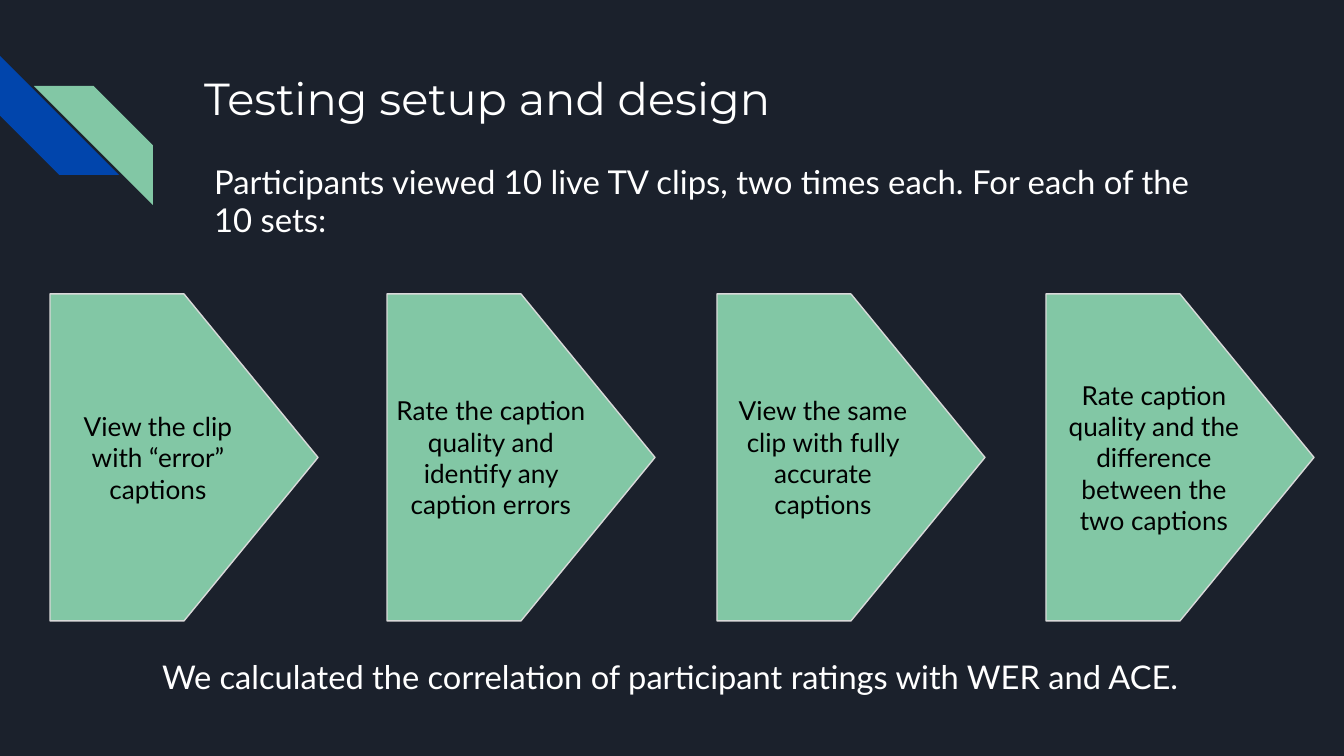
from dataclasses import dataclass

from lxml import etree
from pptx import Presentation
from pptx.dml.color import RGBColor
from pptx.enum.shapes import MSO_SHAPE
from pptx.enum.text import MSO_ANCHOR, MSO_AUTO_SIZE, PP_ALIGN
from pptx.oxml.ns import qn
from pptx.util import Emu, Pt

PLATE = MSO_SHAPE.PENTAGON
STRIPE = MSO_SHAPE.DIAGONAL_STRIPE
TOP = MSO_ANCHOR.TOP
MIDDLE = MSO_ANCHOR.MIDDLE
FIXED = MSO_AUTO_SIZE.NONE
GROW = MSO_AUTO_SIZE.SHAPE_TO_FIT_TEXT
LEFT = PP_ALIGN.LEFT
CENTER = PP_ALIGN.CENTER

NAVY = RGBColor(0x1B, 0x21, 0x2C)
BLUE = RGBColor(0x01, 0x45, 0xAC)
GREEN = RGBColor(0x82, 0xC7, 0xA5)
GREY = RGBColor(0xD9, 0xD9, 0xD9)
WHITE = RGBColor(0xFF, 0xFF, 0xFF)
BLACK = RGBColor(0x00, 0x00, 0x00)

SCALE = 9144000 / 1344
WIDE, HIGH = 1344, 756
INSET = 13
STEP_TOP, STEP_WIDE, STEP_HIGH = 294, 268, 327
TEXT_WIDE = 216


@dataclass(frozen=True)
class Box:
    left: int
    top: int
    width: int
    height: int


@dataclass(frozen=True)
class Style:
    font: str
    size: float
    color: RGBColor
    align: PP_ALIGN = LEFT
    anchor: MSO_ANCHOR = TOP
    fit: MSO_AUTO_SIZE = FIXED


@dataclass(frozen=True)
class Step:
    left: int
    text_left: int
    text_high: int
    text: str


@dataclass(frozen=True)
class Stripe:
    box: Box
    color: RGBColor
    turn: int
    flip: bool


STEPS = (
    Step(50, 50, 207, "View the clip with “error” captions"),
    Step(387, 383, 207, "Rate the caption quality and identify any caption errors"),
    Step(717, 715, 207, "View the same clip with fully accurate captions"),
    Step(1046, 1046, 247, "Rate caption quality and the difference between the two captions"),
)
STRIPES = (
    Stripe(Box(0, 56, 119, 119), BLUE, 270, False),
    Stripe(Box(34, 86, 119, 119), GREEN, 0, True),
)

HEAD = Style("Montserrat", 24, WHITE)
INTRO = Style("Lato", 17.6, WHITE)
LABEL = Style("Lato", 14, BLACK, CENTER, MIDDLE)
CLOSE = Style("Lato", 17.5, WHITE, fit=GROW)


def px(size: int) -> Emu:
    return Emu(round(size * SCALE))


def place(box: Box) -> tuple[Emu, Emu, Emu, Emu]:
    return px(box.left), px(box.top), px(box.width), px(box.height)


def write(shape, text: str, style: Style):
    frame = shape.text_frame
    frame.word_wrap = True
    frame.auto_size = style.fit
    frame.vertical_anchor = style.anchor
    frame.margin_left = frame.margin_right = px(INSET)
    frame.margin_top = frame.margin_bottom = px(INSET)
    para = frame.paragraphs[0]
    para.alignment = style.align
    run = para.add_run()
    run.text = text
    run.font.name = style.font
    run.font.size = Pt(style.size)
    run.font.color.rgb = style.color
    return para


def fill_holder(holder, box: Box, text: str, style: Style):
    holder.left, holder.top, holder.width, holder.height = place(box)
    return write(holder, text, style)


def add_text(slide, box: Box, text: str, style: Style) -> None:
    write(slide.shapes.add_textbox(*place(box)), text, style)


def add_solid(slide, kind: MSO_SHAPE, box: Box, color: RGBColor):
    shape = slide.shapes.add_shape(kind, *place(box))
    shape.shadow.inherit = False
    shape.adjustments[0] = 0.5
    shape.fill.solid()
    shape.fill.fore_color.rgb = color
    return shape


def add_stripe(slide, stripe: Stripe) -> None:
    shape = add_solid(slide, STRIPE, stripe.box, stripe.color)
    shape.line.fill.background()
    shape.rotation = stripe.turn
    if stripe.flip:
        shape.element.spPr.xfrm.set("flipH", "1")


def add_step(slide, step: Step) -> None:
    plate = add_solid(slide, PLATE, Box(step.left, STEP_TOP, STEP_WIDE, STEP_HIGH), GREEN)
    plate.line.color.rgb = GREY
    plate.line.width = Pt(0.75)
    top = STEP_TOP + (STEP_HIGH - step.text_high) // 2
    add_text(slide, Box(step.text_left, top, TEXT_WIDE, step.text_high), step.text, LABEL)


def clear_bullet(para) -> None:
    props = para._p.get_or_add_pPr()
    props.set("marL", "0")
    props.set("indent", "0")
    etree.SubElement(props, qn("a:buNone"))


def main() -> None:
    deck = Presentation()
    deck.slide_width, deck.slide_height = px(WIDE), px(HIGH)
    slide = deck.slides.add_slide(deck.slide_layouts[1])
    slide.background.fill.solid()
    slide.background.fill.fore_color.rgb = NAVY

    for stripe in STRIPES:
        add_stripe(slide, stripe)

    fill_holder(slide.shapes.title, Box(191, 58, 1035, 134), "Testing setup and design", HEAD)
    intro = fill_holder(
        slide.placeholders[1],
        Box(201, 152, 1035, 102),
        "Participants viewed 10 live TV clips, two times each. For each of the 10 sets:",
        INTRO,
    )
    clear_bullet(intro)
    intro.line_spacing = 0.95
    intro.space_before = Pt(0)
    intro.space_after = Pt(12)

    for step in STEPS:
        add_step(slide, step)

    add_text(
        slide,
        Box(149, 644, 1085, 67),
        "We calculated the correlation of participant ratings with WER and ACE.",
        CLOSE,
    )
    deck.save("out.pptx")


if __name__ == "__main__":
    main()
